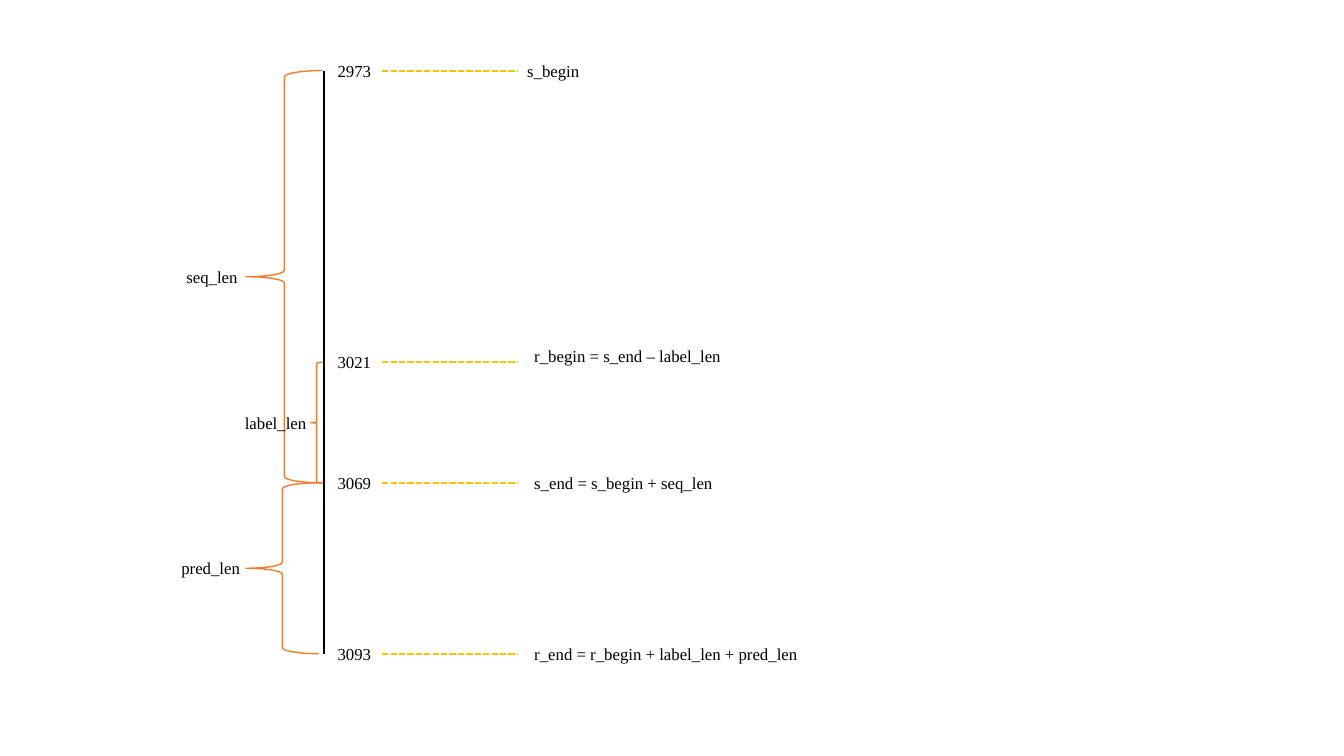
import pptx
import pptx.dml.color
import pptx.enum.dml
import pptx.enum.shapes
import pptx.enum.text
import pptx.oxml.ns
import pptx.util
from lxml import etree

GRID = 0.1
TEXT_HEIGHT = 3
AXIS_COLUMN = 32.1
TICK_COLUMN, TICK_WIDTH = 32.5, 5.4
GUIDE_START, GUIDE_END = TICK_COLUMN + TICK_WIDTH, 51.3
BLACK, ORANGE, GOLD = "000000", "ED7D31", "FFC000"

MARKS = [
    ("2973", 7, "s_begin", 51.3, 7, 7.3),
    ("3021", 35.95, "r_begin = s_end – label_len", 52, 35.3, 20.8),
    ("3069", 47.9, "s_end = s_begin + seq_len", 52, 47.9, 19.9),
    ("3093", 64.85, "r_end = r_begin + label_len + pred_len", 52, 64.85, 28.5),
]
SPANS = [
    ("seq_len", 0, 2, 24.4, 7.6, 17.5, 7.2),
    ("pred_len", 2, 3, 24.4, 7.2, 17, 7.9),
    ("label_len", 1, 2, 30.8, 1.2, 23.3, 8.2),
]


def grid(cells):
    return pptx.util.Inches(cells * GRID)


def color(value):
    return pptx.dml.color.RGBColor.from_string(value)


def add_text(slide, text, column, middle, width, size=12, font="Times New Roman", fill=BLACK):
    box = slide.shapes.add_textbox(
        grid(column), grid(middle - TEXT_HEIGHT / 2), grid(width), grid(TEXT_HEIGHT))
    box.text_frame.word_wrap = False
    box.text_frame.auto_size = pptx.enum.text.MSO_AUTO_SIZE.SHAPE_TO_FIT_TEXT
    run = box.text_frame.paragraphs[0].add_run()
    run.text = text
    run.font.size = pptx.util.Pt(size)
    run.font.name = font
    run.font.color.rgb = color(fill)
    return box


def add_line(slide, start, end, stroke, dash=None):
    connector = slide.shapes.add_connector(
        pptx.enum.shapes.MSO_CONNECTOR.STRAIGHT, *map(grid, start + end))
    connector.line.color.rgb = color(stroke)
    connector.line.width = pptx.util.Pt(1.5)
    if dash:
        connector.line.dash_style = dash
    properties = connector._element.spPr
    etree.SubElement(properties, pptx.oxml.ns.qn("a:effectLst"))
    return connector


def add_brace(slide, column, top, width, bottom):
    brace = slide.shapes.add_shape(
        pptx.enum.shapes.MSO_SHAPE.LEFT_BRACE,
        grid(column), grid(top), grid(width), grid(bottom - top))
    brace.shadow.inherit = False
    brace.fill.background()
    brace.line.color.rgb = color(ORANGE)
    brace.line.width = pptx.util.Pt(1)


def add_span(slide, name, first, last, column, width, name_column, name_width):
    top, bottom = MARKS[first][1], MARKS[last][1]
    add_brace(slide, column, top, width, bottom)
    add_text(slide, name, name_column, (top + bottom) / 2, name_width)


def add_mark(slide, tick, row, formula, formula_column, formula_row, formula_width):
    tick_box = add_text(slide, tick, TICK_COLUMN, row, TICK_WIDTH)
    formula_box = add_text(slide, formula, formula_column, formula_row, formula_width)
    guide = add_line(slide, (GUIDE_START, row), (GUIDE_END, row), GOLD,
                     pptx.enum.dml.MSO_LINE.SQUARE_DOT)
    guide.begin_connect(tick_box, 3)
    if (formula_column, formula_row) == (GUIDE_END, row):
        guide.end_connect(formula_box, 1)


def main():
    presentation = pptx.Presentation()
    presentation.slide_width = pptx.util.Inches(13.33)
    presentation.slide_height = pptx.util.Inches(7.5)
    slide = presentation.slides.add_slide(presentation.slide_layouts[6])
    add_line(slide, (AXIS_COLUMN, MARKS[0][1]), (AXIS_COLUMN, MARKS[-1][1]), BLACK)
    for span in SPANS:
        add_span(slide, *span)
    for mark in MARKS:
        add_mark(slide, *mark)
    presentation.save("out.pptx")


if __name__ == "__main__":
    main()
